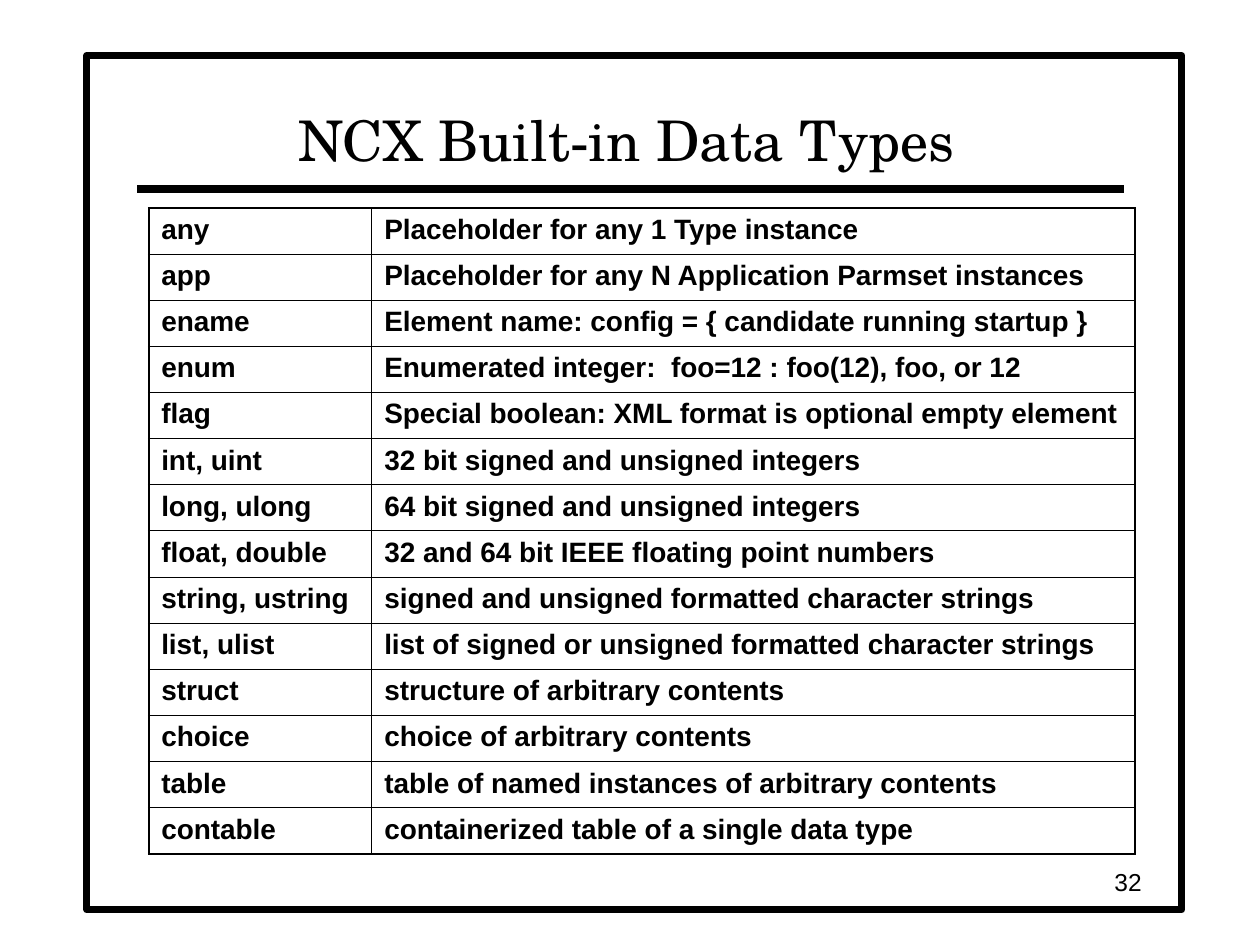
from lxml.etree import SubElement
from pptx import Presentation
from pptx.dml.color import RGBColor
from pptx.enum.shapes import MSO_CONNECTOR, MSO_SHAPE
from pptx.enum.text import MSO_ANCHOR, PP_ALIGN
from pptx.oxml.ns import qn
from pptx.util import Inches, Pt

COLORS = {"ink": "000000", "paper": "FFFFFF"}
BODY_FONT = "Arial"
TITLE_FONT = "TeX Gyre Schola"
OUTER_BORDER, INNER_BORDER = Pt(1.08), Pt(0.45)

DATA_TYPES = [
    ("any", "Placeholder for any 1 Type instance"),
    ("app", "Placeholder for any N Application Parmset instances"),
    ("ename", "Element name: config = { candidate running startup }"),
    ("enum", "Enumerated integer:  foo=12 : foo(12), foo, or 12"),
    ("flag", "Special boolean: XML format is optional empty element"),
    ("int, uint", "32 bit signed and unsigned integers"),
    ("long, ulong", "64 bit signed and unsigned integers"),
    ("float, double", "32 and 64 bit IEEE floating point numbers"),
    ("string, ustring", "signed and unsigned formatted character strings"),
    ("list, ulist", "list of signed or unsigned formatted character strings"),
    ("struct", "structure of arbitrary contents"),
    ("choice", "choice of arbitrary contents"),
    ("table", "table of named instances of arbitrary contents"),
    ("contable", "containerized table of a single data type"),
]


def color(name):
    return RGBColor.from_string(COLORS[name])


def write(text_frame, text, size, font=BODY_FONT, bold=False, align=PP_ALIGN.LEFT):
    text_frame.text = text
    paragraph = text_frame.paragraphs[0]
    paragraph.alignment = align
    paragraph.space_before = Pt(0)
    paragraph.font.name = font
    paragraph.font.size = Pt(size)
    paragraph.font.bold = bold
    paragraph.font.color.rgb = color("ink")


def add_frame(slide):
    frame = slide.shapes.add_shape(
        MSO_SHAPE.RECTANGLE, Inches(0.69), Inches(0.44), Inches(8.69), Inches(6.78))
    frame.shadow.inherit = False
    frame.fill.solid()
    frame.fill.fore_color.rgb = color("paper")
    frame.line.color.rgb = color("ink")
    frame.line.width = Pt(4)


def add_title_rule(slide):
    rule = slide.shapes.add_connector(
        MSO_CONNECTOR.STRAIGHT, Inches(1.09), Inches(1.5), Inches(8.92), Inches(1.5))
    rule.line.color.rgb = color("ink")
    rule.line.width = Pt(4.5)
    SubElement(rule.element.spPr, qn("a:effectLst"))


def place_title(slide, text):
    """Fill the title placeholder and bring it in front of the frame."""
    title = slide.shapes.title
    title.left, title.top = Inches(1.08), Inches(0.5)
    title.width, title.height = Inches(7.79), Inches(0.92)
    title.text_frame.vertical_anchor = MSO_ANCHOR.BOTTOM
    write(title.text_frame, text, 32, TITLE_FONT, align=PP_ALIGN.CENTER)
    title.element.getparent().append(title.element)


def set_borders(cell, outer_sides):
    properties = cell._tc.get_or_add_tcPr()
    for side in "LRTB":
        width = OUTER_BORDER if side in outer_sides else INNER_BORDER
        border = SubElement(properties, qn(f"a:ln{side}"), w=str(int(width)))
        fill = SubElement(border, qn("a:solidFill"))
        SubElement(fill, qn("a:srgbClr"), val=COLORS["ink"])


def add_type_table(slide):
    row_count = len(DATA_TYPES)
    table = slide.shapes.add_table(
        row_count, 2, Inches(1.18), Inches(1.65), Inches(7.83), Inches(5.13)).table
    table.first_row = table.horz_banding = False
    for column, width in zip(table.columns, (1.77, 6.06)):
        column.width = Inches(width)
    for row, texts in enumerate(DATA_TYPES):
        row_sides = ("T" if row == 0 else "") + ("B" if row == row_count - 1 else "")
        for column, (text, edge) in enumerate(zip(texts, "LR")):
            cell = table.cell(row, column)
            write(cell.text_frame, text, 16, bold=True)
            set_borders(cell, row_sides + edge)
            cell.fill.background()


def add_page_number(slide, number):
    box = slide.shapes.add_textbox(
        Inches(7.08), Inches(6.83), Inches(2.08), Inches(0.33))
    box.text_frame.word_wrap = True
    box.text_frame.vertical_anchor = MSO_ANCHOR.MIDDLE
    write(box.text_frame, number, 14, align=PP_ALIGN.RIGHT)


def main():
    deck = Presentation()
    deck.slide_width, deck.slide_height = Inches(10), Inches(7.5)
    slide = deck.slides.add_slide(deck.slide_layouts[5])
    add_frame(slide)
    add_title_rule(slide)
    place_title(slide, "NCX Built-in Data Types")
    add_type_table(slide)
    add_page_number(slide, "32")
    deck.save("out.pptx")


if __name__ == "__main__":
    main()
